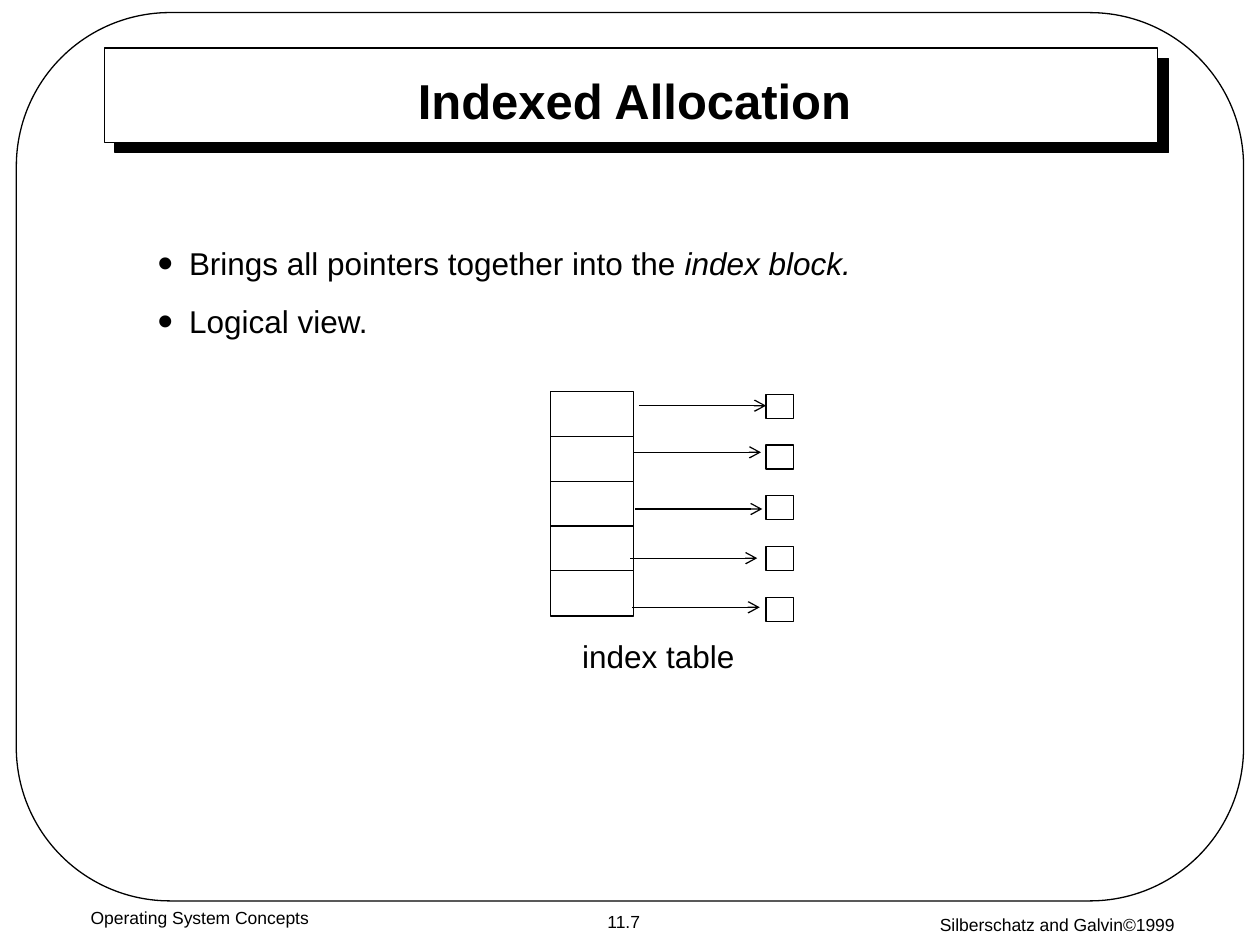
from dataclasses import dataclass

from lxml import etree
from pptx import Presentation
from pptx.dml.color import RGBColor
from pptx.enum.shapes import MSO_CONNECTOR, MSO_SHAPE
from pptx.enum.text import MSO_ANCHOR, MSO_AUTO_SIZE, PP_ALIGN
from pptx.oxml.ns import qn
from pptx.util import Inches, Pt

RECTANGLE = MSO_SHAPE.RECTANGLE
ROUNDED = MSO_SHAPE.ROUNDED_RECTANGLE
STRAIGHT = MSO_CONNECTOR.STRAIGHT
TOP, MIDDLE = MSO_ANCHOR.TOP, MSO_ANCHOR.MIDDLE
LEFT, CENTER = PP_ALIGN.LEFT, PP_ALIGN.CENTER
NO_FIT, GROW = MSO_AUTO_SIZE.NONE, MSO_AUTO_SIZE.SHAPE_TO_FIT_TEXT

BLACK, WHITE = "000000", "FFFFFF"
LINE_WIDTH = Pt(0.75)


@dataclass
class Area:
    left: float
    top: float
    width: float
    height: float

    def lengths(self):
        return [Inches(n) for n in (self.left, self.top, self.width, self.height)]


@dataclass
class Label:
    text: str
    area: Area
    size: float = 10
    anchor: MSO_ANCHOR = TOP
    before: float = 0
    fitted: bool = False


@dataclass
class Arrow:
    left: float
    y: float


FRAME = Area(0.13, 0.1, 9.74, 7.05)
TITLE_PANEL = Area(0.83, 0.38, 8.36, 0.75)
TITLE = Area(1.27, 0.54, 7.53, 0.5)
BODY = Area(1.15, 1.89, 7.69, 0.93)

ROWS = 5
ENTRY, ENTRY_STEP = Area(4.37, 3.11, 0.66, 0.36), 0.355
BLOCK, BLOCK_STEP = Area(6.08, 3.13, 0.22, 0.19), 0.4025
ARROW_LENGTH = 1.01
ARROWS = [Arrow(5.07, 3.22), Arrow(5.03, 3.59), Arrow(5.04, 4.04),
          Arrow(5, 4.43), Arrow(5.02, 4.82)]

COPYRIGHT = Label("Silberschatz and Galvin©1999", Area(6.83, 7.15, 3.17, 0.35))
LABELS = [
    Label("11.7", Area(4.44, 7.18, 1.02, 0.27), anchor=MIDDLE, before=6.2, fitted=True),
    Label("Operating System Concepts", Area(0, 7.15, 3.17, 0.35)),
    Label("index table", Area(4.52, 5.01, 1.41, 0.4), size=18, anchor=MIDDLE,
          before=11.2, fitted=True),
]


def color(value: str) -> RGBColor:
    return RGBColor.from_string(value)


def add_span(para, text: str, *, size: float, bold=False, italic=False, font="Arial"):
    span = para.add_run()
    span.text = text
    span.font.name = font
    span.font.size = Pt(size)
    span.font.bold = bold
    span.font.italic = italic
    span.font.color.rgb = color(BLACK)


def place(shape, area: Area):
    shape.left, shape.top, shape.width, shape.height = area.lengths()


def set_frame(frame, anchor: MSO_ANCHOR, fit: MSO_AUTO_SIZE = NO_FIT, wrap=True):
    frame.word_wrap = wrap
    frame.auto_size = fit
    frame.vertical_anchor = anchor


def add_box(page, area: Area, kind: MSO_SHAPE = RECTANGLE, filled=True):
    box = page.shapes.add_shape(kind, *area.lengths())
    box.shadow.inherit = False
    if filled:
        box.fill.solid()
        box.fill.fore_color.rgb = color(WHITE)
    else:
        box.fill.background()
    box.line.color.rgb = color(BLACK)
    box.line.width = LINE_WIDTH
    return box


def add_shadow(box):
    effects = box._element.spPr.find(qn("a:effectLst"))
    shadow = etree.SubElement(effects, qn("a:outerShdw"), dist=str(Pt(8.5)),
                              dir=str(45 * 60000), algn="ctr", rotWithShape="0")
    etree.SubElement(shadow, qn("a:srgbClr"), val=BLACK)


def add_column(page, first: Area, step: float):
    for row in range(ROWS):
        add_box(page, Area(first.left, first.top + row * step, first.width, first.height))


def add_arrow(page, arrow: Arrow):
    y = Inches(arrow.y)
    line = page.shapes.add_connector(STRAIGHT, Inches(arrow.left), y,
                                     Inches(arrow.left + ARROW_LENGTH), y)
    line.line.color.rgb = color(BLACK)
    line.line.width = LINE_WIDTH
    etree.SubElement(line.line._get_or_add_ln(), qn("a:tailEnd"), type="arrow")
    etree.SubElement(line._element.spPr, qn("a:effectLst"))


def add_label(page, label: Label):
    box = page.shapes.add_textbox(*label.area.lengths())
    set_frame(box.text_frame, label.anchor, GROW if label.fitted else NO_FIT,
              not label.fitted)
    para = box.text_frame.paragraphs[0]
    para.alignment = CENTER
    para.space_before = Pt(label.before)
    add_span(para, label.text, size=label.size)
    return para


def format_bullet(para):
    para.alignment = LEFT
    para.space_before = Pt(11.2)
    properties = para._p.get_or_add_pPr()
    properties.set("marL", str(Inches(0.25)))
    properties.set("indent", str(-Inches(0.25)))
    bullet_color = etree.SubElement(properties, qn("a:buClr"))
    etree.SubElement(bullet_color, qn("a:srgbClr"), val=BLACK)
    etree.SubElement(properties, qn("a:buSzPct"), val="140000")
    etree.SubElement(properties, qn("a:buFont"), typeface="Arial")
    etree.SubElement(properties, qn("a:buChar"), char="•")


def fill_title(title):
    place(title, TITLE)
    set_frame(title.text_frame, MIDDLE)
    para = title.text_frame.paragraphs[0]
    para.alignment = CENTER
    add_span(para, "Indexed Allocation", size=28, bold=True)


def fill_body(body):
    place(body, BODY)
    set_frame(body.text_frame, TOP)
    first = body.text_frame.paragraphs[0]
    second = body.text_frame.add_paragraph()
    for para in (first, second):
        format_bullet(para)
    add_span(first, "Brings all pointers together into the ", size=18)
    add_span(first, "index block.", size=18, italic=True)
    add_span(second, "Logical view.", size=18)


def main():
    deck = Presentation()
    deck.slide_width, deck.slide_height = Inches(10), Inches(7.5)
    page = deck.slides.add_slide(deck.slide_layouts[1])
    title, body = page.placeholders

    # Page frame and title panel, moved behind the placeholders
    frame = add_box(page, FRAME, ROUNDED, filled=False)
    frame.adjustments[0] = 0.173
    panel = add_box(page, TITLE_PANEL)
    add_shadow(panel)
    for box in (frame, panel):
        title._element.addprevious(box._element)

    # Title and list
    fill_title(title)
    fill_body(body)

    # Index table, data blocks and pointers
    add_column(page, ENTRY, ENTRY_STEP)
    add_column(page, BLOCK, BLOCK_STEP)
    for arrow in ARROWS:
        add_arrow(page, arrow)

    # Caption and footers; the larger closing space lowers the copyright line
    for label in LABELS:
        add_label(page, label)
    add_span(add_label(page, COPYRIGHT), " ", size=14, font="Times New Roman")

    deck.save("out.pptx")


if __name__ == "__main__":
    main()
